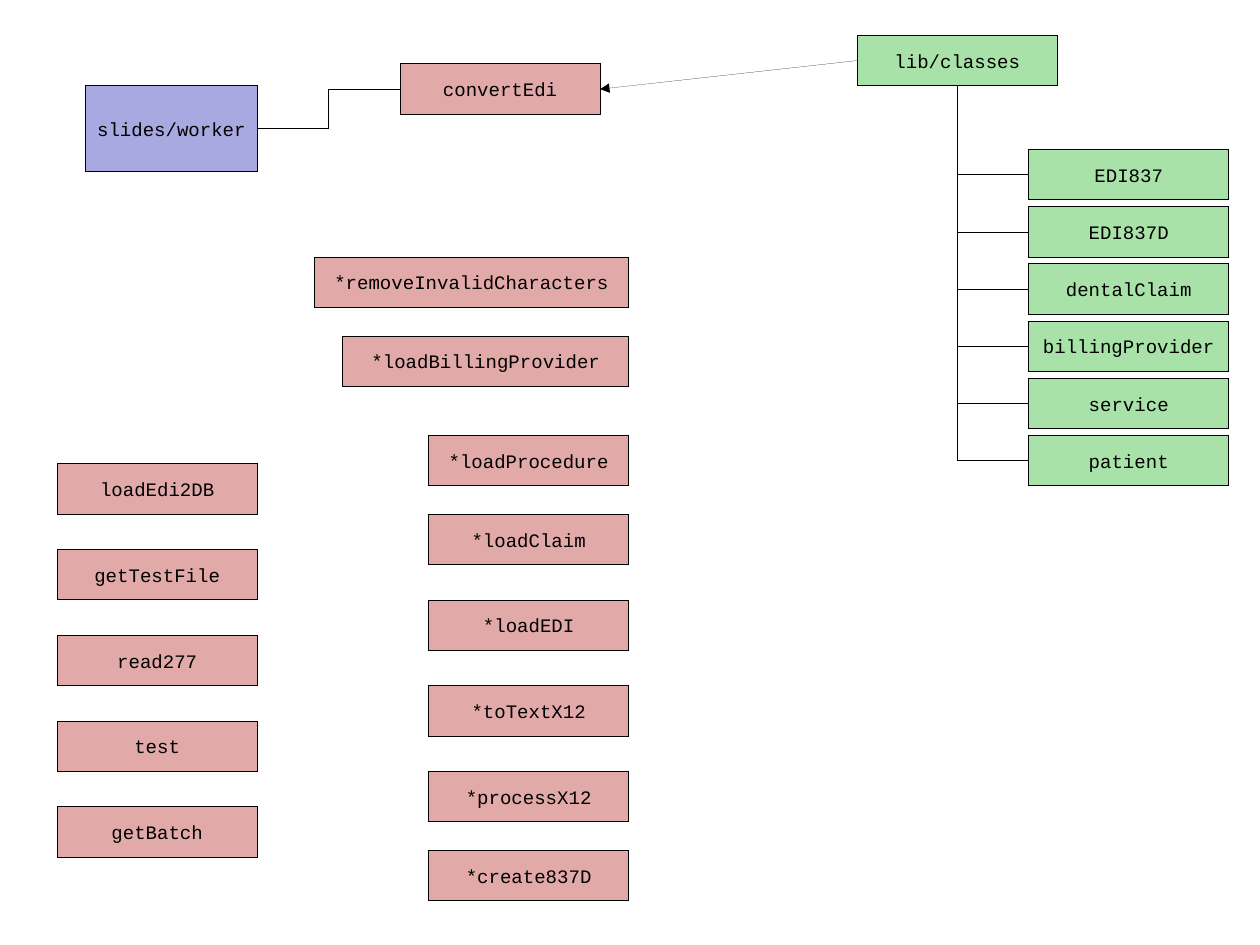
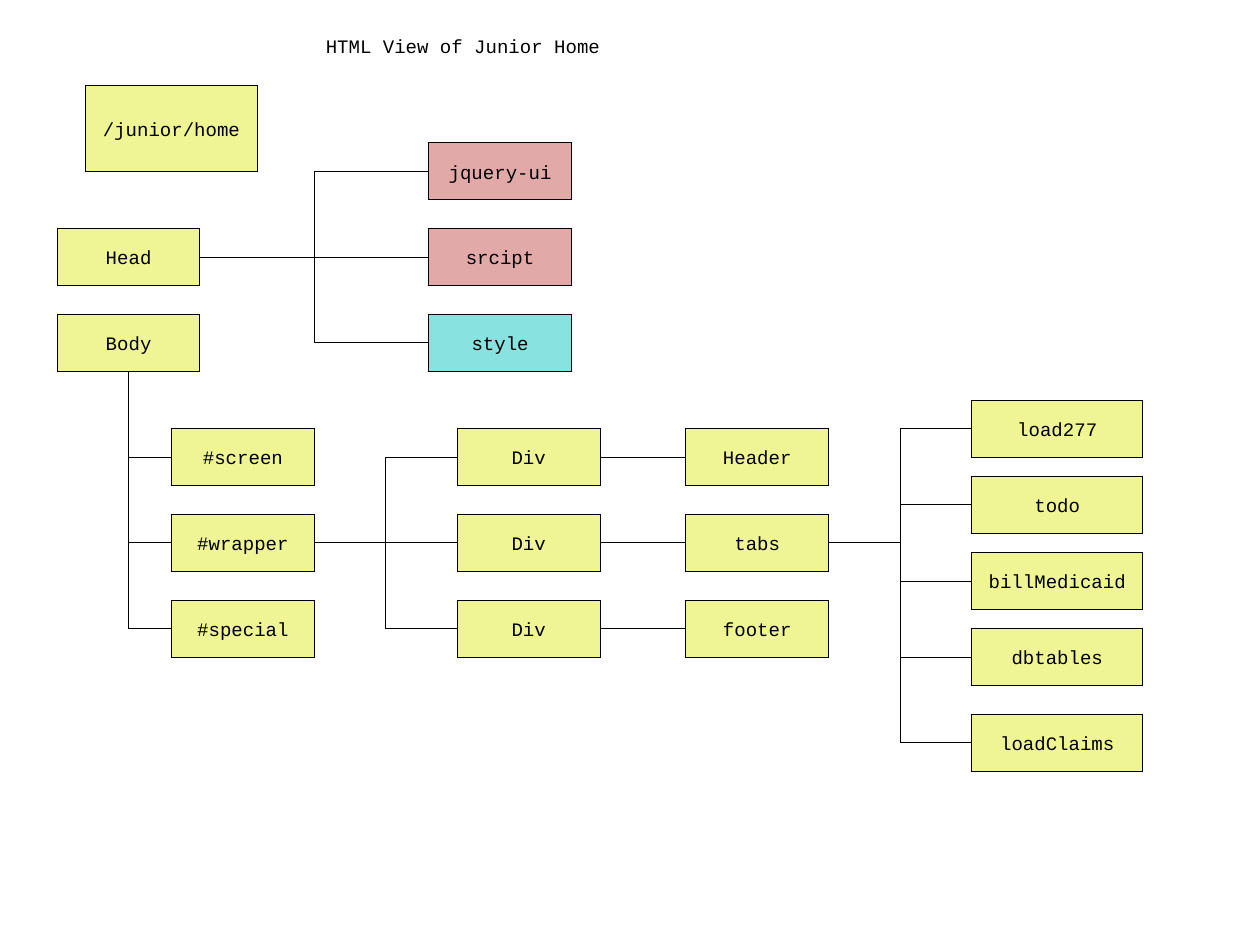
from pptx import Presentation
from pptx.dml.color import RGBColor
from pptx.enum.shapes import MSO_CONNECTOR as LINE, MSO_SHAPE as SHAPE
from pptx.enum.text import MSO_ANCHOR as ANCHOR, MSO_AUTO_SIZE as AUTO, PP_ALIGN as ALIGN
from pptx.oxml.ns import qn
from pptx.util import Cm, Inches, Pt
from lxml import etree

FONT, SIZE = "Courier New", 12
BLACK, BLUE, RED = "000000", "A9A9E2", "E2A9A9"
GREEN, YELLOW, CYAN = "A9E2A9", "EFF494", "87E2E0"
TITLE_ONLY, BLANK = 5, 6
TOP, LEFT, BOTTOM, RIGHT = range(4)  # connection sites of a rectangle


def rgb(hex_color):
    return RGBColor.from_string(hex_color)


def style_text(p, align):
    p.alignment = align
    p.font.name, p.font.size = FONT, Pt(SIZE)
    p.font.color.rgb = rgb(BLACK)


def set_hairline(sp):
    sp.line.color.rgb = rgb(BLACK)
    sp.line.width = 0
    # A zero width otherwise falls back to the theme's line
    for ref in sp._element.iter(qn("a:lnRef")):
        ref.set("idx", "0")


def add_box(slide, text, x, y, w, h, color):
    sp = slide.shapes.add_shape(SHAPE.RECTANGLE, Inches(x), Inches(y), Inches(w), Inches(h))
    sp.shadow.inherit = False
    sp.fill.solid()
    sp.fill.fore_color.rgb = rgb(color)
    set_hairline(sp)
    tf = sp.text_frame
    tf.word_wrap = False
    tf.text = text
    style_text(tf.paragraphs[0], ALIGN.CENTER)
    return sp


def add_column(slide, texts, x, y, w, h, step, color):
    return [add_box(slide, text, x, y + i * step, w, h, color)
            for i, text in enumerate(texts)]


def add_link(slide, kind, start, start_site, end, end_site):
    link = slide.shapes.add_connector(kind, 0, 0, 0, 0)
    link.begin_connect(start, start_site)
    link.end_connect(end, end_site)
    set_hairline(link)
    etree.SubElement(link._element.spPr, qn("a:effectLst"))
    return link


def link_right(slide, parent, children):
    """Join the right side of parent to the left side of each child."""
    for child in children:
        level = parent.top + parent.height // 2 == child.top + child.height // 2
        kind = LINE.STRAIGHT if level else LINE.ELBOW
        add_link(slide, kind, parent, RIGHT, child, LEFT)


def link_down(slide, parent, children):
    """Drop from the bottom of parent, then turn once to the left of each child."""
    for child in children:
        link = add_link(slide, LINE.ELBOW, parent, BOTTOM, child, LEFT)
        x, y, w, h = link.left, link.top, link.width, link.height
        # A quarter turn swaps width and height about the centre
        link.left, link.top = x + (w - h) // 2, y + (h - w) // 2
        link.width, link.height = h, w
        spPr = link._element.spPr
        spPr.find(qn("a:prstGeom")).set("prst", "bentConnector2")
        xfrm = spPr.find(qn("a:xfrm"))
        xfrm.set("rot", "16200000")
        xfrm.set("flipH", "1")


def link_arrow(slide, start, end):
    link = add_link(slide, LINE.STRAIGHT, start, LEFT, end, RIGHT)
    ln = link._element.spPr.find(qn("a:ln"))
    etree.SubElement(ln, qn("a:tailEnd"), type="triangle")


def add_title(slide, text, x, y, w, h):
    title = slide.shapes.title
    title.left, title.top, title.width, title.height = map(Inches, (x, y, w, h))
    tf = title.text_frame
    tf.text = text
    tf.word_wrap = True
    tf.auto_size = AUTO.SHAPE_TO_FIT_TEXT
    tf.vertical_anchor = ANCHOR.TOP
    style_text(tf.paragraphs[0], ALIGN.LEFT)


# Worker slide
W, H = 1.75, 0.44


def add_helpers(slide, right, y):
    """Right-aligned helper functions, each at its offset below y."""
    helpers = [
        ("*removeInvalidCharacters", 0, 2.75), ("*loadBillingProvider", 0.69, 2.5),
        ("*loadProcedure", 1.56, W), ("*loadClaim", 2.25, W), ("*loadEDI", 3, W),
        ("*toTextX12", 3.75, W), ("*processX12", 4.5, W), ("*create837D", 5.19, W),
    ]
    for text, offset, w in helpers:
        add_box(slide, text, right - w, y + offset, w, H, RED)


def add_classes(slide, x, y):
    lib = add_box(slide, "lib/classes", x, y, W, H, GREEN)
    names = ["EDI837", "EDI837D", "dentalClaim", "billingProvider", "service", "patient"]
    link_down(slide, lib, add_column(slide, names, x + 1.5, y + 1, W, H, 0.5, GREEN))
    return lib


def build_worker(prs):
    slide = prs.slides.add_slide(prs.slide_layouts[BLANK])
    worker = add_box(slide, "slides/worker", 0.75, 0.75, 1.5, 0.75, BLUE)
    convert = add_box(slide, "convertEdi", 3.5, 0.56, W, H, RED)
    link_right(slide, worker, [convert])
    scripts = ["loadEdi2DB", "getTestFile", "read277", "test", "getBatch"]
    add_column(slide, scripts, 0.5, 4.06, W, H, 0.75, RED)
    add_helpers(slide, 5.5, 2.25)
    link_arrow(slide, add_classes(slide, 7.5, 0.31), convert)


# Home page slide
NODE_W, NODE_H, NODE_STEP = 1.25, 0.5, 0.75


def add_nodes(slide, texts, x, y, color=YELLOW):
    return add_column(slide, texts, x, y, NODE_W, NODE_H, NODE_STEP, color)


def add_head_and_body(slide, x, y):
    """Head with its resources; returns the Body node."""
    head, body = add_nodes(slide, ["Head", "Body"], x, y)
    resources = add_nodes(slide, ["jquery-ui", "srcipt"], x + 3.25, y - NODE_STEP, RED)
    resources += add_nodes(slide, ["style"], x + 3.25, y + NODE_STEP, CYAN)
    link_right(slide, head, resources)
    return body


def add_body_tree(slide, body, x, y):
    sections = add_nodes(slide, ["#screen", "#wrapper", "#special"], x, y)
    divs = add_nodes(slide, ["Div"] * 3, x + 2.5, y)
    parts = add_nodes(slide, ["Header", "tabs", "footer"], x + 4.5, y)
    link_down(slide, body, sections)
    link_right(slide, sections[1], divs)
    for div, part in zip(divs, parts):
        link_right(slide, div, [part])

    names = ["load277", "todo", "billMedicaid", "dbtables"]
    tabs = add_column(slide, names, x + 7, y - 0.25, 1.5, NODE_H, 2 / 3, YELLOW)
    tabs.append(add_box(slide, "loadClaims", x + 7, y + 2.5, 1.5, NODE_H, YELLOW))
    link_right(slide, parts[1], tabs)


def build_home(prs):
    slide = prs.slides.add_slide(prs.slide_layouts[TITLE_ONLY])
    add_title(slide, "HTML View of Junior Home", 2.75, 0.25, 3.5, 0.29)
    add_box(slide, "/junior/home", 0.75, 0.75, 1.5, 0.75, YELLOW)
    body = add_head_and_body(slide, 0.5, 2)
    add_body_tree(slide, body, 1.5, 3.75)


def main():
    prs = Presentation()
    prs.slide_width, prs.slide_height = Cm(28), Cm(21)
    build_worker(prs)
    build_home(prs)
    prs.save("out.pptx")


if __name__ == "__main__":
    main()
